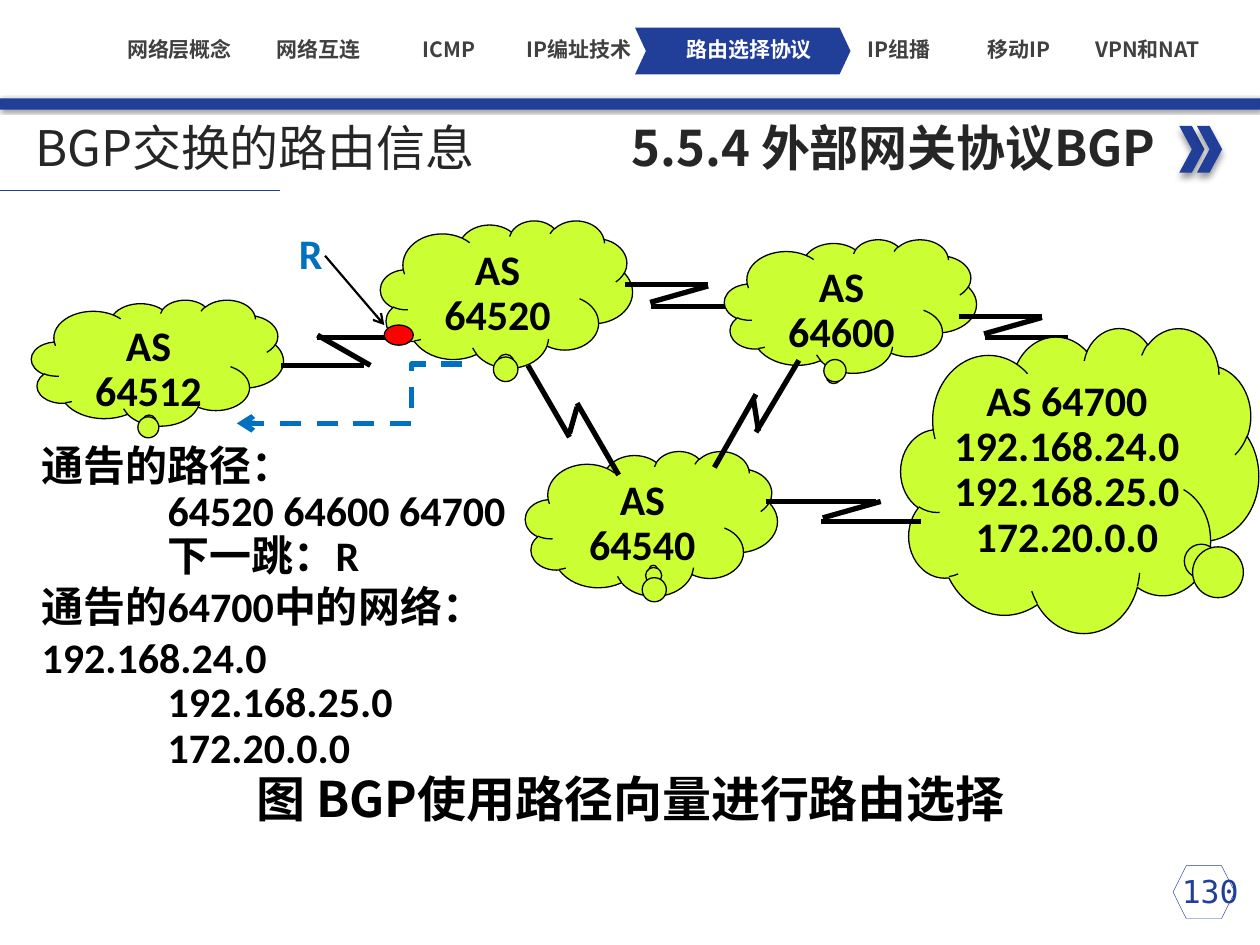
from lxml.etree import SubElement
from pptx import Presentation
from pptx.dml.color import RGBColor
from pptx.enum.dml import MSO_LINE
from pptx.enum.shapes import MSO_CONNECTOR, MSO_SHAPE
from pptx.enum.text import MSO_ANCHOR, MSO_AUTO_SIZE, PP_ALIGN
from pptx.oxml.ns import qn
from pptx.util import Inches, Pt

NOTO, CAL, MONO = "Noto Sans CJK SC", "Calibri", "DejaVu Sans Mono"
NAVY, LIME, BLACK, BLUE = "213F99", "CCFF33", "000000", "0070C0"
DARK, GREY, WHITE = "262626", "404040", "FFFFFF"
LEFT, MID, RIGHT = PP_ALIGN.LEFT, PP_ALIGN.CENTER, PP_ALIGN.RIGHT
WIDE, HIGH = Inches(10), Inches(7.5)
COLS = 100

TABS = [(7, "网络层概念", GREY), (18, "网络互连", GREY), (28.4, "ICMP", GREY),
        (38.7, "IP编址技术", GREY), (52.2, "路由选择协议", WHITE),
        (64.1, "IP组播", GREY), (73.6, "移动IP", GREY), (83.8, "VPN和NAT", GREY)]

PATHS = [("通告的路径：", 0), ("64520 64600 64700", 1), ("下一跳：R", 1),
         ("通告的64700中的网络：\t192.168.24.0", 0),
         ("192.168.25.0", 1), ("172.20.0.0", 1)]

NETS = [
    ((2.5, 23.8, 20, 10), (-0.034, 0.483), ["AS", "64512"],
     [(22.3, 29, 28.9, 29), (25.2, 26.8, 31.8, 26.8), (25.2, 26.6, 29.4, 29)]),
    ((30.2, 17.5, 20, 11.7), (-0.003, 0.473), ["AS", "64520"],
     [(51.7, 24.3, 58.3, 24.3), (49.6, 22.6, 56.2, 22.6), (56.2, 22.7, 51.6, 24)]),
    ((57.5, 19, 20, 10.6), (-0.065, 0.512), ["AS", "64600"],
     [(78.2, 26.8, 84.8, 26.8), (76.1, 25.1, 82.7, 25.1), (82.7, 25.2, 78.1, 26.5)]),
    ((41.7, 35.8, 20, 11.5), (0.008, 0.316), ["AS", "64540"], []),
    ((71.5, 26, 28.4, 24.2), (0.332, 0.26),
     ["AS 64700", "192.168.24.0", "192.168.25.0", "172.20.0.0"],
     [(41.9, 29, 45.2, 34.7), (45.8, 32, 49.1, 37.7), (45.2, 34.4, 45.8, 32.3),
      (60, 31.3, 56.7, 37.1), (60.2, 34.2, 59.8, 31.7), (63.4, 28.6, 60, 34.3),
      (65.2, 41.4, 73.1, 41.4), (60.8, 39.8, 69.5, 39.8), (69.9, 39.8, 65.3, 41.1)]),
]


def cell(*nums):
    """Turn counts of grid cells into lengths."""
    return [round(WIDE * n / COLS) for n in nums]


def tint(code):
    """Give the colour for a hex string."""
    return RGBColor.from_string(code)


def style(para, size, face, color, bold=True, align=LEFT, space=1.0):
    """Set the look of one paragraph."""
    para.alignment, para.line_spacing = align, space
    font = para.font
    font.size, font.name, font.bold = Pt(size), face, bold
    font.color.rgb = tint(color)
    rule = para._p.pPr.find(qn("a:defRPr"))
    SubElement(rule, qn("a:ea")).set("typeface", NOTO)


def fill_text(frame, lines, *look, **more):
    """Write lines of one look into a frame."""
    frame.text = "\n".join(lines)
    for para in frame.paragraphs:
        style(para, *look, **more)


def label(slide, box, text, *look, pad=True, anchor=MSO_ANCHOR.TOP, **more):
    """Add a text box with one line."""
    frame = slide.shapes.add_textbox(*cell(*box)).text_frame
    frame.word_wrap, frame.vertical_anchor = True, anchor
    if not pad:
        frame.margin_left = frame.margin_right = 0
        frame.margin_top = frame.margin_bottom = 0
    fill_text(frame, [text], *look, **more)
    return frame


def block(slide, kind, box, fill=None, edge=None, width=0.75, adj=()):
    """Add a preset shape."""
    shape = slide.shapes.add_shape(kind, *cell(*box))
    shape.shadow.inherit = False
    if fill:
        shape.fill.solid()
        shape.fill.fore_color.rgb = tint(fill)
    else:
        shape.fill.background()
    if edge:
        shape.line.color.rgb = tint(edge)
        shape.line.width = Pt(width)
    else:
        shape.line.fill.background()
    for spot, part in enumerate(adj):
        shape.adjustments[spot] = part
    return shape


def shade(shape, blur, dist, turn):
    """Give a shape a soft outer shadow."""
    cast = SubElement(shape._element.spPr.find(qn("a:effectLst")), qn("a:outerShdw"))
    for key, num in (("blurRad", Pt(blur)), ("dist", Pt(dist)), ("dir", turn * 60000)):
        cast.set(key, str(int(num)))
    hue = SubElement(cast, qn("a:srgbClr"))
    hue.set("val", BLACK)
    SubElement(hue, qn("a:alpha")).set("val", "40000")


def link(slide, ends, color=BLACK, width=3, kind=MSO_CONNECTOR.STRAIGHT, tip=False):
    """Add a line, with an arrow tip if asked."""
    line = slide.shapes.add_connector(kind, *cell(*ends))
    line.line.color.rgb = tint(color)
    line.line.width = Pt(width)
    if tip:
        SubElement(line.line._get_or_add_ln(), qn("a:tailEnd")).set("type", "arrow")
    SubElement(line._element.spPr, qn("a:effectLst"))
    return line


def place(shape, box):
    """Move a placeholder to its cells."""
    shape.left, shape.top, shape.width, shape.height = cell(*box)
    shape.text_frame.auto_size = MSO_AUTO_SIZE.NONE
    return shape.text_frame


def head(slide):
    """Draw the tabs, the bar and the headings."""
    shade(block(slide, MSO_SHAPE.RECTANGLE, (0, 7.8, 100, 0.9), NAVY), 2, 1, 45)
    for left in (93.6, 95):
        shade(block(slide, MSO_SHAPE.CHEVRON, (left, 10, 2, 3.7), NAVY), 4, 3, 90)
    label(slide, (7.6, 8.8, 85.1, 5.7), "5.5.4 外部网关协议BGP", 28, NOTO, DARK, align=RIGHT)
    link(slide, (0, 15.1, 22.2, 15.1), NAVY, 0.5)
    frame = place(slide.shapes.title, (1.8, 9.2, 40.8, 4.9))
    fill_text(frame, ["BGP交换的路由信息"], 28, NOTO, DARK, bold=False)
    block(slide, MSO_SHAPE.CHEVRON, (50.4, 2.2, 17.1, 3.7), NAVY, adj=[0.234])
    for left, text, color in TABS:
        label(slide, (left, 2.9, 14.5, 2), text, 12, NOTO, color,
              pad=False, anchor=MSO_ANCHOR.MIDDLE, align=MID)


def routes(slide):
    """Fill the list of announced paths."""
    frame = place(slide.placeholders[1], (2.3, 34.4, 39.3, 27.7))
    frame.text = "\n".join(text for text, _ in PATHS)
    for para, (_, step) in zip(frame.paragraphs, PATHS):
        rule = para._p.get_or_add_pPr()
        rule.set("marL", str(Inches(step)))
        rule.set("indent", "0")
        SubElement(rule, qn("a:buNone"))
        style(para, 24, CAL, BLACK, space=0.9 if step else 1.0)
        para.space_before = Pt(0)


def clouds(slide):
    """Draw the systems and the links between them."""
    for box, adj, lines, bolts in NETS:
        cloud = block(slide, MSO_SHAPE.CLOUD_CALLOUT, box, LIME, BLACK, adj=adj)
        frame = cloud.text_frame
        frame.vertical_anchor = MSO_ANCHOR.TOP
        if len(lines) > 2:
            frame.margin_left = frame.margin_right = 0
        fill_text(frame, lines, 24, CAL, BLACK, align=MID, space=0.9)
        for ends in bolts:
            link(slide, ends)


def router(slide):
    """Mark router R and the path it announces."""
    block(slide, MSO_SHAPE.OVAL, (30.5, 25.8, 2.3, 1.6), "FF0000", BLACK)
    link(slide, (25.8, 20.3, 30.5, 25.8), width=1.25, tip=True)
    bend = link(slide, (36.7, 28.9, 18.8, 33.6), BLUE, 3, MSO_CONNECTOR.ELBOW, True)
    bend.line.dash_style = MSO_LINE.DASH
    guide = SubElement(bend._element.spPr.prstGeom.get_or_add_avLst(), qn("a:gd"))
    guide.set("name", "adj1")
    guide.set("fmla", "val 22600")
    label(slide, (21.9, 17.6, 5.5, 5), "R", 24, CAL, BLUE, align=MID)


def foot(slide):
    """Add the caption and the page number."""
    label(slide, (6.7, 61, 86.7, 5.4), "图 BGP使用路径向量进行路由选择",
          28, NOTO, BLACK, align=MID, space=0.9)
    block(slide, MSO_SHAPE.HEXAGON, (93.1, 68.7, 4.9, 4.2), edge=NAVY, width=0.25)
    label(slide, (91.7, 68.7, 8.7, 4), "130", 18, MONO, NAVY, bold=False, align=MID)


def main():
    """Build and save the slide."""
    deck = Presentation()
    deck.slide_width, deck.slide_height = WIDE, HIGH
    slide = deck.slides.add_slide(deck.slide_layouts[1])
    for part in (head, routes, clouds, router, foot):
        part(slide)
    deck.save("out.pptx")


if __name__ == "__main__":
    main()
